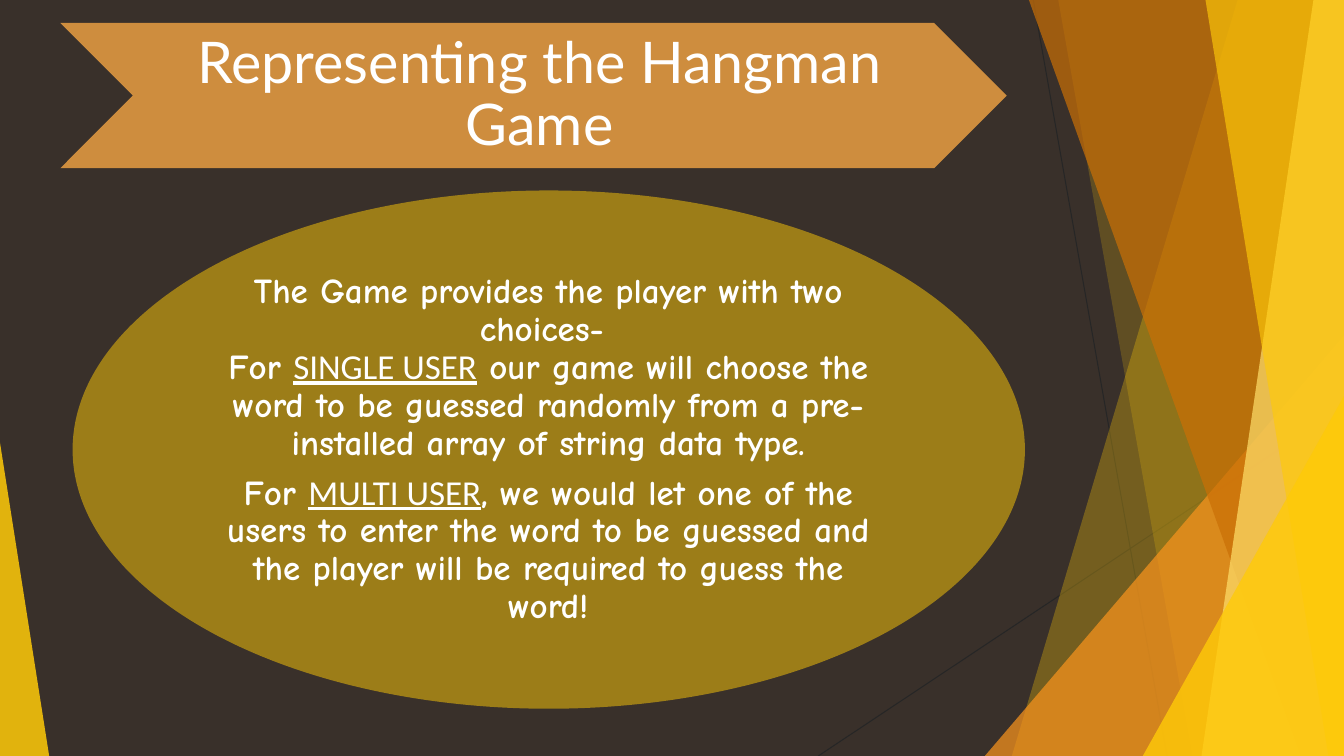
from lxml.etree import SubElement
from pptx import Presentation
from pptx.dml.color import RGBColor
from pptx.enum.shapes import MSO_CONNECTOR, MSO_SHAPE as SHAPE
from pptx.enum.text import MSO_ANCHOR, MSO_AUTO_SIZE, PP_ALIGN
from pptx.oxml.ns import qn
from pptx.util import Cm, Pt

BROWN = RGBColor(0x39, 0x30, 0x2A)
CHARCOAL = RGBColor(0x26, 0x26, 0x26)
YELLOW = RGBColor(0xFF, 0xCA, 0x08)
PALE = RGBColor(0xFF, 0xDF, 0x6B)
ORANGE = RGBColor(0xF8, 0x93, 0x1D)
RUST = RGBColor(0xCA, 0x6F, 0x06)
COPPER = RGBColor(0xCE, 0x8D, 0x3E)
WHITE = RGBColor(0xFF, 0xFF, 0xFF)

# Content: paragraphs as lists of (text, is a mode name); BREAK starts a new line
BREAK = ("\n", False)
HEADING = [[("Representing the Hangman Game", False)]]
CHOICES = [
    [("The Game provides the player with two choices- ", False), BREAK,
     ("For ", False), ("SINGLE USER", True),
     (" our game will choose the word to be guessed randomly from a "
      "pre-installed array of string data type.", False)],
    [("For ", False), ("MULTI USER", True),
     (", we would let one of the users to enter the word to be guessed and "
      "the player will be required to guess the word!", False)],
]

# Geometry in centimetres
WIDTH, HEIGHT = 33.87, 19.05
RAYS = [((26.04, 0), (29.41, HEIGHT)), ((WIDTH, 10.24), (20.62, HEIGHT))]
# Facets run to the right edge: top x, bottom x, colour, opacity %
BACK_FACETS = [(31.19, 25.5, YELLOW, 30), (26.67, 30.05, YELLOW, 20)]
FRONT_FACETS = [(25.93, 32.79, RUST, 70), (33.1, 30.28, PALE, 70),
                (30.38, 33.48, YELLOW, 65)]
# Corners stand on the bottom edge: left, top, width, apex, colour, opacity %
BACK_CORNER = (24.82, 8.46, 9.05, 1, ORANGE, 72)
FRONT_CORNERS = [(28.8, 9.98, 5.07, 1, YELLOW, 80), (0, 11.15, 1.24, 0, YELLOW, 85)]
BANNER_BOX = (1.52, 0.58, 23.85, 3.66)
HEADING_BOX = (3.35, 0.58, 20.19, 3.66)
OVAL_BOX = (1.83, 4.8, 24, 13.06)
CHOICES_BOX = (5.33, 6.71, 16.97, 9.25)

deck = Presentation()
deck.slide_width, deck.slide_height = Cm(WIDTH), Cm(HEIGHT)
slide = deck.slides.add_slide(deck.slide_layouts[1])
slide.background.fill.solid()
slide.background.fill.fore_color.rgb = BROWN
shapes = slide.shapes


def paint(shape, color, opacity=100):
    shape.shadow.inherit = False
    shape.line.fill.background()
    shape.fill.solid()
    shape.fill.fore_color.rgb = color
    if opacity < 100:
        srgb = shape.fill._xPr.find(".//" + qn("a:srgbClr"))
        SubElement(srgb, qn("a:alpha"), val=str(opacity * 1000))


def add_preset(kind, box, color, opacity=100):
    shape = shapes.add_shape(kind, *map(Cm, box))
    paint(shape, color, opacity)
    return shape


def add_facet(top_x, bottom_x, color, opacity):
    outline = shapes.build_freeform(Cm(top_x), 0)
    outline.add_line_segments([(Cm(WIDTH), 0), (Cm(WIDTH), Cm(HEIGHT)),
                               (Cm(bottom_x), Cm(HEIGHT))])
    paint(outline.convert_to_shape(), color, opacity)


def add_corner(left, top, width, apex, color, opacity):
    box = (left, top, width, HEIGHT - top)
    add_preset(SHAPE.ISOSCELES_TRIANGLE, box, color, opacity).adjustments[0] = apex


def write(holder, paragraphs, *, box, size, font, bold, insets):
    holder.left, holder.top, holder.width, holder.height = map(Cm, box)
    frame = holder.text_frame
    frame.word_wrap = True
    frame.auto_size = MSO_AUTO_SIZE.NONE
    frame.vertical_anchor = MSO_ANCHOR.MIDDLE
    (frame.margin_left, frame.margin_top,
     frame.margin_right, frame.margin_bottom) = map(Cm, insets)
    for index, pieces in enumerate(paragraphs):
        para = frame.add_paragraph() if index else frame.paragraphs[0]
        para.alignment = PP_ALIGN.CENTER
        para.line_spacing = 0.9
        para.space_before, para.space_after = Pt(0), Pt(size * 0.35)
        props = para._p.get_or_add_pPr()
        props.set("marL", "0")
        props.set("indent", "0")
        SubElement(props, qn("a:buNone"))
        for text, is_mode in pieces:
            if (text, is_mode) == BREAK:
                para.add_line_break()
                SubElement(para._p[-1], qn("a:rPr"), sz=str(size * 100))
                continue
            run = para.add_run()
            run.text = text
            run.font.size = Pt(size)
            run.font.name = "Calibri" if is_mode else font
            run.font.bold = bold and not is_mode
            run.font.underline = is_mode
            run.font.color.rgb = WHITE


# Backdrop
for start, end in RAYS:
    ray = shapes.add_connector(MSO_CONNECTOR.STRAIGHT, *map(Cm, start + end))
    ray.line.color.rgb = CHARCOAL
    ray.line.width = Pt(0.75)
    SubElement(ray._element.spPr, qn("a:effectLst"))
for facet in BACK_FACETS:
    add_facet(*facet)
add_corner(*BACK_CORNER)
for facet in FRONT_FACETS:
    add_facet(*facet)
for corner in FRONT_CORNERS:
    add_corner(*corner)

# Banner and oval
add_preset(SHAPE.CHEVRON, BANNER_BOX, COPPER)
add_preset(SHAPE.OVAL, OVAL_BOX, YELLOW, 50)

# Text, brought in front of the banner and oval
heading, choices = shapes.title, slide.placeholders[1]
write(heading, HEADING, box=HEADING_BOX, size=41, font="Lato", bold=False,
      insets=(0.46, 0.3, 0.15, 0.3))
write(choices, CHOICES, box=CHOICES_BOX, size=25, font="Comic Neue", bold=True,
      insets=(0.08, 0.08, 0.08, 0.08))
for holder in (heading, choices):
    shapes._spTree.append(holder._element)

deck.save("out.pptx")
